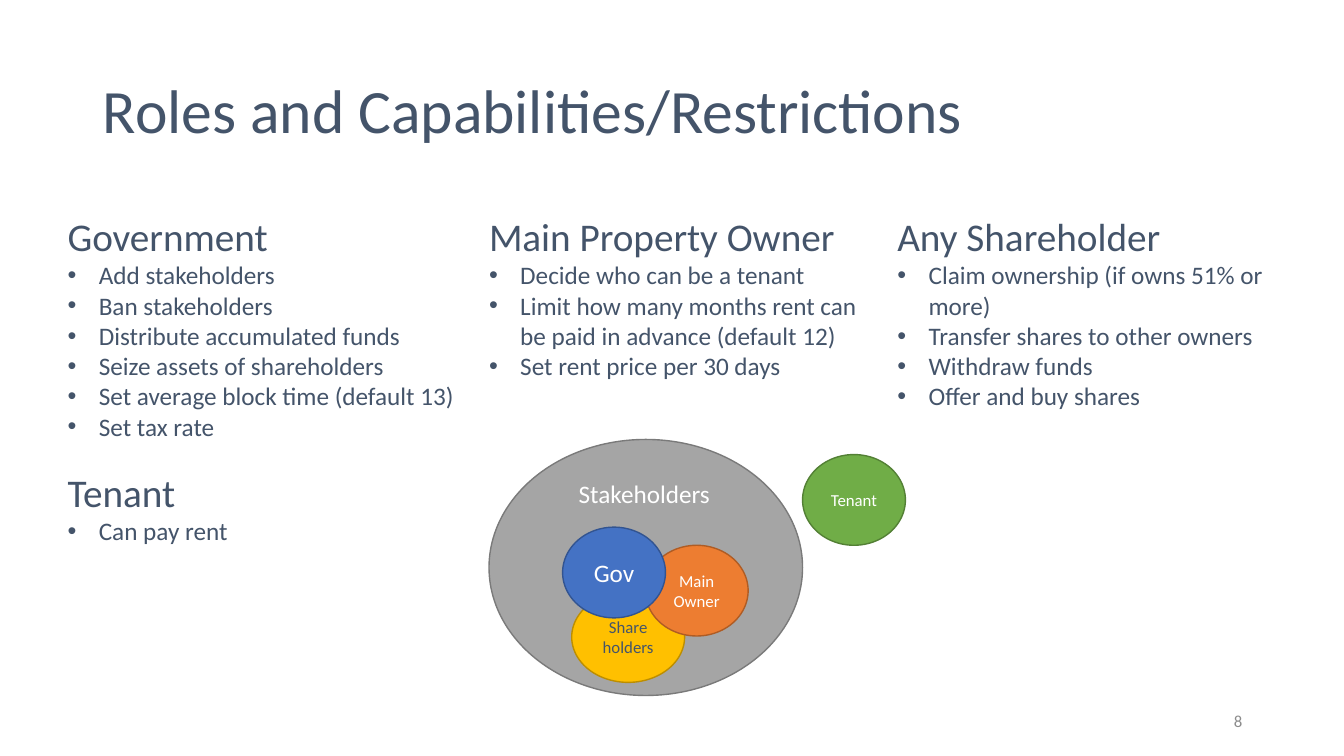
"""Build the slide on roles, their capabilities and their restrictions."""
from dataclasses import dataclass

from lxml.etree import SubElement
from pptx import Presentation
from pptx.dml.color import RGBColor
from pptx.enum.shapes import MSO_SHAPE
from pptx.enum.text import MSO_ANCHOR, MSO_AUTO_SIZE, PP_ALIGN
from pptx.oxml.ns import qn
from pptx.util import Inches, Pt


@dataclass(frozen=True)
class Theme:
    font: str = "Calibri"
    ink: str = "44546A"
    white: str = "FFFFFF"
    muted: str = "8C8C8C"
    title: int = 44
    heading: int = 28
    body: int = 18
    small: int = 12


THEME = Theme()
TITLE = "Roles and Capabilities/Restrictions"
ROLES = [
    ("Government", (0.57, 2.06, 4.08, 2.39), [
        "Add stakeholders",
        "Ban stakeholders",
        "Distribute accumulated funds",
        "Seize assets of shareholders",
        "Set average block time (default 13)",
        "Set tax rate",
    ]),
    ("Main Property Owner", (4.75, 2.06, 4.08, 2.09), [
        "Decide who can be a tenant",
        "Limit how many months rent can be paid in advance (default 12)",
        "Set rent price per 30 days",
    ]),
    ("Any Shareholder", (8.8, 2.06, 4.08, 2.39), [
        "Claim ownership (if owns 51% or more)",
        "Transfer shares to other owners",
        "Withdraw funds",
        "Offer and buy shares",
    ]),
    ("Tenant", (0.57, 4.6, 2.58, 0.88), ["Can pay rent"]),
]
STAKEHOLDERS = ("", (4.85, 4.36, 3.11, 2.54), "A5A5A5", "7A7A7A", {})
CIRCLES = [
    STAKEHOLDERS,
    ("Tenant", (7.96, 4.51, 1.02, 0.9), "70AD47", "538035", {}),
    ("Share holders", (5.67, 5.87, 1.12, 0.9), "FFC000", "BD8E00", {"color": THEME.ink}),
    ("Main Owner", (6.4, 5.41, 1.02, 0.9), "ED7D31", "AF5C24", {}),
    ("Gov", (5.58, 5.23, 1.02, 0.9), "4472C4", "325491", {"size": THEME.body}),
]


def place(box, area):
    box.left, box.top, box.width, box.height = map(Inches, area)


def write(para, text, size=THEME.body, color=THEME.ink, align=PP_ALIGN.LEFT,
          spacing=1.0, bullet=False):
    para.alignment = align
    para.line_spacing = spacing
    para.space_before = para.space_after = Pt(0)
    properties = para._p.get_or_add_pPr()
    indent = Inches(0.31) if bullet else 0
    properties.set("marL", str(indent))
    properties.set("indent", str(-indent))
    if bullet:
        SubElement(properties, qn("a:buFont")).set("typeface", "Arial")
        SubElement(properties, qn("a:buChar")).set("char", "•")
    else:
        SubElement(properties, qn("a:buNone"))
    span = para.add_run()
    span.text = text
    span.font.name = THEME.font
    span.font.size = Pt(size)
    span.font.bold = False
    span.font.color.rgb = RGBColor.from_string(color)


def set_frame(box, anchor=MSO_ANCHOR.MIDDLE, wrap=True):
    frame = box.text_frame
    frame.word_wrap = wrap
    frame.auto_size = MSO_AUTO_SIZE.NONE
    frame.vertical_anchor = anchor
    return frame


def add_label(page, text, area, anchor=MSO_ANCHOR.MIDDLE, wrap=True, **style):
    box = page.shapes.add_textbox(*map(Inches, area))
    write(set_frame(box, anchor, wrap).paragraphs[0], text, **style)


def add_circle(page, text, area, fill, line, style):
    circle = page.shapes.add_shape(MSO_SHAPE.FLOWCHART_CONNECTOR, *map(Inches, area))
    circle.shadow.inherit = False
    circle.fill.solid()
    circle.fill.fore_color.rgb = RGBColor.from_string(fill)
    circle.line.color.rgb = RGBColor.from_string(line)
    circle.line.width = Pt(1)
    if text:
        look = {"size": THEME.small, "color": THEME.white, "align": PP_ALIGN.CENTER} | style
        write(set_frame(circle).paragraphs[0], text, **look)


def fill_role(box, heading, area, abilities):
    place(box, area)
    frame = set_frame(box, MSO_ANCHOR.TOP)
    write(frame.paragraphs[0], heading, size=THEME.heading)
    for ability in abilities:
        write(frame.add_paragraph(), ability, bullet=True)


deck = Presentation()
deck.slide_width, deck.slide_height = Inches(13.33), Inches(7.5)
page = deck.slides.add_slide(deck.slide_layouts.get_by_name("Comparison"))

title = page.shapes.title
place(title, (0.92, 0.4, 11.5, 1.45))
write(set_frame(title).paragraphs[0], TITLE, size=THEME.title, spacing=0.9)

bodies = [box for box in page.placeholders if box.placeholder_format.idx]
for box, role in zip(bodies, ROLES):
    fill_role(box, *role)

for circle in CIRCLES:
    add_circle(page, *circle)
    if circle is STAKEHOLDERS:
        add_label(page, "Stakeholders", (5.64, 4.7, 1.52, 0.4), MSO_ANCHOR.TOP,
                  wrap=False, color=THEME.white)

add_label(page, "8", (9.42, 6.95, 3, 0.4), size=THEME.small, color=THEME.muted,
          align=PP_ALIGN.RIGHT)
deck.save("out.pptx")
